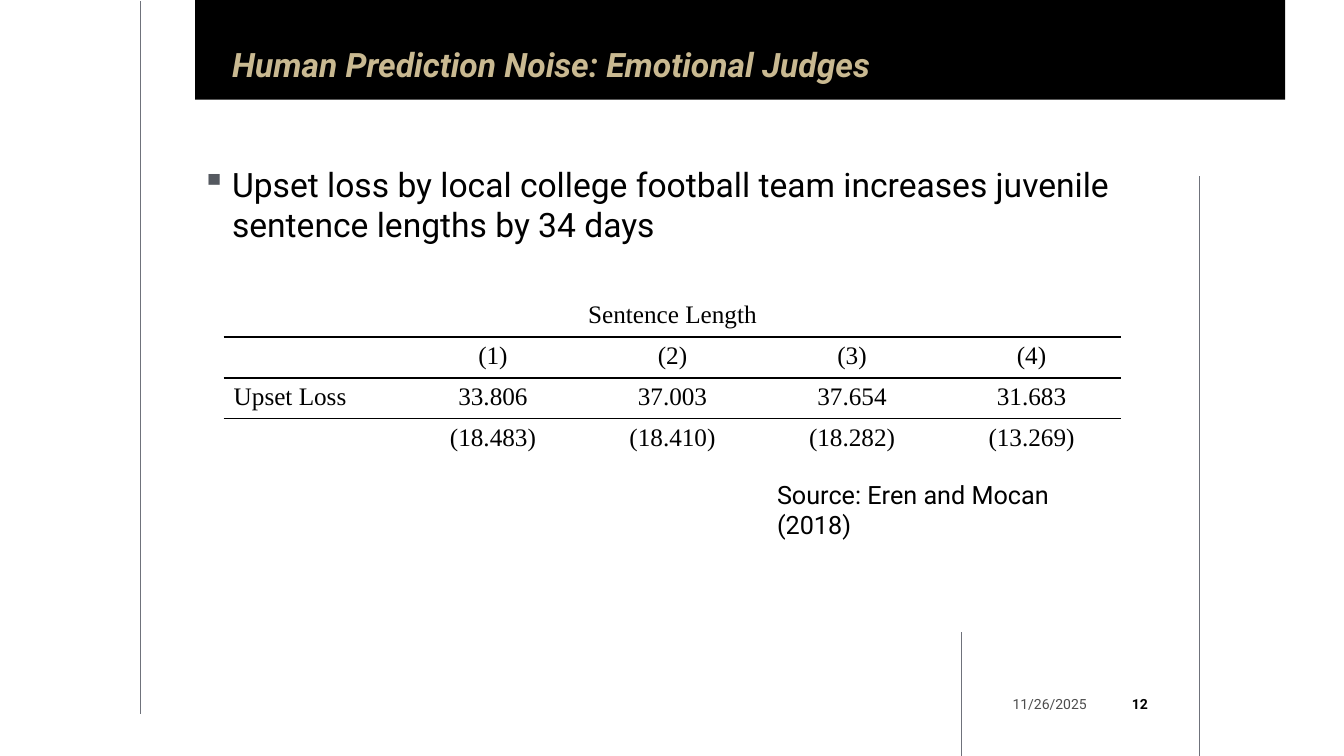
from dataclasses import dataclass

from lxml.etree import SubElement
from pptx import Presentation
from pptx.dml.color import RGBColor
from pptx.enum.shapes import MSO_CONNECTOR as Connector, MSO_SHAPE as Shape
from pptx.enum.text import MSO_ANCHOR as Anchor, PP_ALIGN as Align
from pptx.oxml import parse_xml
from pptx.oxml.ns import nsdecls, qn
from pptx.util import Emu, Pt


@dataclass(frozen=True)
class Theme:
    """Colours, fonts and type sizes of the slide."""
    black: str = "000000"
    white: str = "FFFFFF"
    gold: str = "C9B991"
    rule: str = "6F727B"
    bullet: str = "555960"
    date: str = "4D4D4D"
    sans: str = "Roboto"
    serif: str = "Times New Roman"
    large: int = 24
    medium: int = 18
    small: int = 10


THEME = Theme()
EMU_PER_PX = 9525
PLAIN_TABLE = "{2D5ABB26-0587-4C30-8999-92F81FD0307C}"
HEADER = "Sentence Length"
ROWS = [
    ["", "(1)", "(2)", "(3)", "(4)"],
    ["Upset Loss", "33.806", "37.003", "37.654", "31.683"],
    ["", "(18.483)", "(18.410)", "(18.282)", "(13.269)"],
]


def px(*lengths):
    """Turn whole pixels into a list of EMU lengths."""
    return [Emu(length * EMU_PER_PX) for length in lengths]


def write_text(frame, text, *, size, font=THEME.sans, color=THEME.black, bold=False,
               italic=False, align=Align.LEFT, spacing=None):
    """Write one formatted paragraph into a text frame and return it."""
    para = frame.paragraphs[0]
    para.alignment = align
    if spacing:
        para.line_spacing = spacing
    span = para.add_run()
    span.text = text
    span.font.name = font
    span.font.size = Pt(size)
    span.font.bold = bold
    span.font.italic = italic
    span.font.color.rgb = RGBColor.from_string(color)
    return para


def set_frame(frame, margins, anchor):
    """Set wrapping, insets (left, top, right, bottom) and anchor of a frame."""
    frame.word_wrap = True
    frame.vertical_anchor = anchor
    (frame.margin_left, frame.margin_top,
     frame.margin_right, frame.margin_bottom) = px(*margins)


def add_text(page, area, text, *, margins=(0, 0, 0, 0), anchor=Anchor.TOP, **style):
    """Add a text box and return its paragraph."""
    box = page.shapes.add_textbox(*px(*area))
    set_frame(box.text_frame, margins, anchor)
    return write_text(box.text_frame, text, **style)


def add_shape(page, kind, area, fill=None):
    """Add a preset shape without outline, filled only if a colour is given."""
    shape = page.shapes.add_shape(kind, *px(*area))
    shape.shadow.inherit = False
    shape.line.fill.background()
    if fill:
        shape.fill.solid()
        shape.fill.fore_color.rgb = RGBColor.from_string(fill)
    else:
        shape.fill.background()
    return shape


def add_rule(page, x, top, bottom):
    """Add a thin vertical line."""
    rule = page.shapes.add_connector(Connector.STRAIGHT, *px(x, top, x, bottom))
    rule.line.color.rgb = RGBColor.from_string(THEME.rule)
    rule.line.width = Pt(0.75)
    SubElement(rule._element.spPr, qn("a:effectLst"))


def add_bullet(para, indent):
    """Give a paragraph a square bullet with a hanging indent."""
    properties = para._p.get_or_add_pPr()
    properties.set("marL", str(indent * EMU_PER_PX))
    properties.set("indent", str(-indent * EMU_PER_PX))
    color = SubElement(properties, qn("a:buClr"))
    SubElement(color, qn("a:srgbClr"), val=THEME.bullet)
    SubElement(properties, qn("a:buChar"), char="▪")


def add_border(cell, side):
    """Draw a one-point black border on a cell's top (T) or bottom (B)."""
    border = parse_xml(
        f'<a:ln{side} {nsdecls("a")} w="{Pt(1)}"><a:solidFill>'
        f'<a:srgbClr val="{THEME.black}"/></a:solidFill></a:ln{side}>')
    cell._tc.get_or_add_tcPr().insert(0, border)


def fill_cell(cell, text, align):
    """Make a cell white and write its text."""
    cell.fill.solid()
    cell.fill.fore_color.rgb = RGBColor.from_string(THEME.white)
    if text:
        write_text(cell.text_frame, text, size=THEME.medium, font=THEME.serif, align=align)


def add_results(page, left, top, column_width, row_height):
    """Add the regression table under a header that spans all columns."""
    row_count, column_count = len(ROWS) + 1, len(ROWS[0])
    frame = page.shapes.add_table(row_count, column_count, *px(
        left, top, column_width * column_count, row_height * row_count))
    table = frame.table
    table.first_row = table.horz_banding = False
    table._tbl.tblPr.find(qn("a:tableStyleId")).text = PLAIN_TABLE
    table.cell(0, 0).merge(table.cell(0, column_count - 1))
    fill_cell(table.cell(0, 0), HEADER, Align.CENTER)
    for row, values in enumerate(ROWS, start=1):
        for column, value in enumerate(values):
            fill_cell(table.cell(row, column), value, Align.CENTER if column else Align.LEFT)
    for column in range(column_count):
        add_border(table.cell(0, column), "B")
        add_border(table.cell(2, column), "T")


def main():
    """Build the slide and save the deck."""
    deck = Presentation()
    deck.slide_width, deck.slide_height = px(1280, 720)
    page = deck.slides.add_slide(deck.slide_layouts[6])

    add_shape(page, Shape.RECTANGLE, (186, 0, 1038, 95), THEME.black)
    for x, top, bottom in [(134, 1, 680), (916, 602, 720), (1142, 168, 720)]:
        add_rule(page, x, top, bottom)

    add_text(page, (221, 46, 839, 35), "Human Prediction Noise: Emotional Judges",
             size=THEME.large, color=THEME.gold, bold=True, italic=True, spacing=0.9)
    claim = add_text(page, (192, 156, 919, 188),
                     "Upset loss by local college football team increases "
                     "juvenile sentence lengths by 34 days", size=THEME.large)
    add_bullet(claim, 29)
    add_results(page, 213, 282, 171, 39)
    add_text(page, (730, 451, 346, 38), "Source: Eren and Mocan (2018)",
             margins=(10, 5, 10, 5), size=THEME.medium)

    add_text(page, (937, 653, 108, 34), "11/26/2025", margins=(10, 5, 10, 5),
             anchor=Anchor.MIDDLE, size=THEME.small, color=THEME.date, align=Align.RIGHT)
    badge = add_shape(page, Shape.OVAL, (1060, 651, 51, 38))
    set_frame(badge.text_frame, (2, 5, 2, 5), Anchor.MIDDLE)
    write_text(badge.text_frame, "12", size=THEME.small, bold=True, align=Align.CENTER)

    deck.save("out.pptx")


if __name__ == "__main__":
    main()
